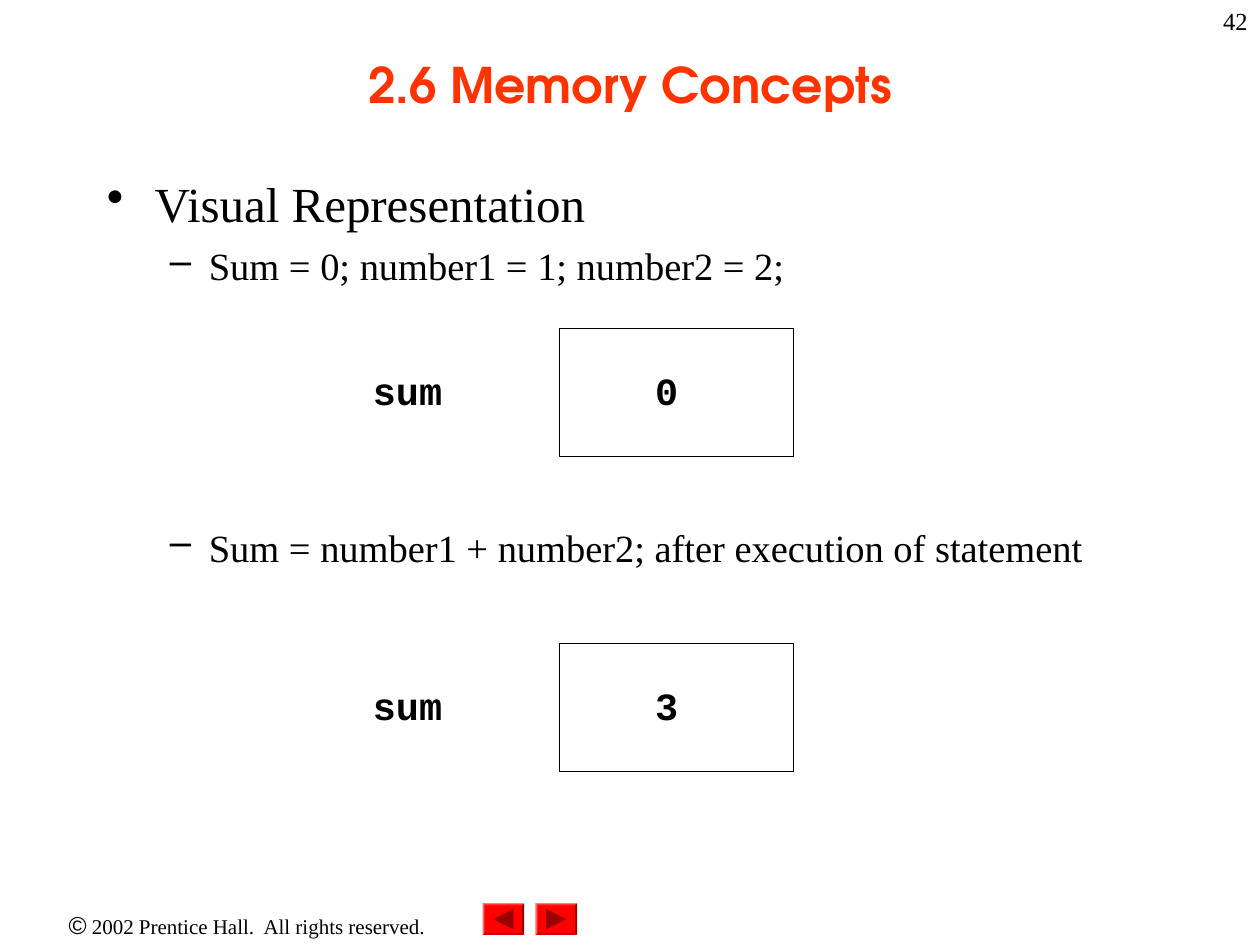
from dataclasses import dataclass

from lxml.etree import SubElement
from pptx import Presentation
from pptx.dml.color import RGBColor
from pptx.enum.shapes import MSO_SHAPE as Shape
from pptx.enum.text import MSO_ANCHOR as Anchor, PP_ALIGN as Align
from pptx.oxml.ns import qn
from pptx.util import Inches, Pt


@dataclass(frozen=True)
class Theme:
    black: RGBColor = RGBColor(0, 0, 0)
    white: RGBColor = RGBColor(255, 255, 255)
    title: RGBColor = RGBColor(0xFF, 0x33, 0x00)
    button: RGBColor = RGBColor(0xFF, 0, 0)
    arrow: RGBColor = RGBColor(0x99, 0, 0)
    title_font: str = "TeX Gyre Adventor"
    body_font: str = "Times New Roman"
    code_font: str = "Courier New"
    symbol_font: str = "Arial"
    large: int = 28
    medium: int = 22
    small: int = 14
    footer: int = 12


THEME = Theme()


@dataclass(frozen=True)
class Bullet:
    text: str
    mark: str
    level: int
    indent: float
    hanging: float
    size: int
    space_before: float = 0


@dataclass(frozen=True)
class MemoryCell:
    variable: str
    value: str
    top: float


@dataclass(frozen=True)
class NavButton:
    left: float
    rotation: int


# The last bullet's space leaves room for the first memory cell.
BULLETS = [
    Bullet("Visual Representation", "•", 0, 0.38, 0.38, THEME.large),
    Bullet("Sum = 0; number1 = 1; number2 = 2;", "–", 1, 0.81, 0.31, THEME.medium, 5.5),
    Bullet("Sum = number1 + number2; after execution of statement", "–", 1,
           0.81, 0.31, THEME.medium, 134.5),
]
CELLS = [MemoryCell("sum", "0", 2.61), MemoryCell("sum", "3", 5.11)]
BUTTONS = [NavButton(3.83, 270), NavButton(4.25, 90)]


def set_font(target, name: str, size: int, color: RGBColor = THEME.black,
             bold: bool = False) -> None:
    font = target.font
    font.name, font.size, font.bold = name, Pt(size), bold
    font.color.rgb = color


def add_frame(shapes, left: float, top: float, width: float, height: float,
              wrap: bool = True):
    """Add a text box and return its text frame."""
    box = shapes.add_textbox(Inches(left), Inches(top), Inches(width), Inches(height))
    box.text_frame.word_wrap = wrap
    return box.text_frame


def add_solid(shapes, kind: Shape, left: float, top: float, width: float,
              height: float, fill: RGBColor):
    """Add a filled shape without shadow or outline."""
    shape = shapes.add_shape(kind, Inches(left), Inches(top), Inches(width), Inches(height))
    shape.shadow.inherit = False
    shape.fill.solid()
    shape.fill.fore_color.rgb = fill
    shape.line.fill.background()
    return shape


def add_bullet(paragraph, bullet: Bullet) -> None:
    paragraph.text = bullet.text
    paragraph.level = bullet.level
    paragraph.space_before = Pt(bullet.space_before)
    properties = paragraph._p.get_or_add_pPr()
    properties.set("marL", str(Inches(bullet.indent)))
    properties.set("indent", str(-Inches(bullet.hanging)))
    SubElement(properties, qn("a:buChar")).set("char", bullet.mark)
    set_font(paragraph, THEME.body_font, bullet.size)


def add_memory_cell(slide, cell: MemoryCell) -> None:
    shapes = slide.shapes.add_group_shape().shapes
    box = add_solid(shapes, Shape.RECTANGLE, 4.44, cell.top, 1.86, 1.01, THEME.white)
    box.line.color.rgb = THEME.black
    box.line.width = Pt(0.5)
    for text, left, width in ((cell.variable, 2.96, 0.55), (cell.value, 5.2, 0.18)):
        frame = add_frame(shapes, left, cell.top + 0.3, width, 0.37, wrap=False)
        frame.margin_left = frame.margin_right = 0
        frame.margin_top = frame.margin_bottom = 0
        label = frame.paragraphs[0]
        label.text = text
        set_font(label, THEME.code_font, THEME.medium, bold=True)


def add_nav_button(slide, button: NavButton) -> None:
    width, height, arrow_size, top = 0.33, 0.25, 0.16, 7.17
    bevel = add_solid(slide.shapes, Shape.BEVEL, button.left, top, width, height, THEME.button)
    bevel.adjustments[0] = 0.06
    arrow = add_solid(slide.shapes, Shape.ISOSCELES_TRIANGLE,
                      button.left + (width - arrow_size) / 2,
                      top + (height - arrow_size) / 2,
                      arrow_size, arrow_size, THEME.arrow)
    arrow.rotation = button.rotation


def add_footer(slide) -> None:
    notice = add_frame(slide.shapes, 0, 7.17, 3.92, 0.34).paragraphs[0]
    notice.alignment = Align.CENTER
    for text, font, size in (
        ("©", THEME.symbol_font, THEME.small),
        (" 2002 Prentice Hall.  All rights reserved.", THEME.body_font, THEME.footer),
    ):
        run = notice.add_run()
        run.text = text
        set_font(run, font, size)


def main() -> None:
    deck = Presentation()
    deck.slide_width, deck.slide_height = Inches(10), Inches(7.5)
    slide = deck.slides.add_slide(deck.slide_layouts[6])

    add_footer(slide)
    for button in BUTTONS:
        add_nav_button(slide, button)

    title_frame = add_frame(slide.shapes, 0.75, 0.08, 8.5, 1.17)
    title_frame.vertical_anchor = Anchor.MIDDLE
    title = title_frame.paragraphs[0]
    title.text = "2.6 Memory Concepts"
    title.alignment = Align.CENTER
    set_font(title, THEME.title_font, THEME.large, THEME.title, bold=True)

    body = add_frame(slide.shapes, 0.75, 1.33, 8.5, 5.75)
    for index, bullet in enumerate(BULLETS):
        add_bullet(body.add_paragraph() if index else body.paragraphs[0], bullet)

    for cell in CELLS:
        add_memory_cell(slide, cell)

    page_number = add_frame(slide.shapes, 7.92, 0, 2.08, 0.5).paragraphs[0]
    page_number.text = "42"
    page_number.alignment = Align.RIGHT
    set_font(page_number, THEME.body_font, THEME.small)

    deck.save("out.pptx")


if __name__ == "__main__":
    main()
